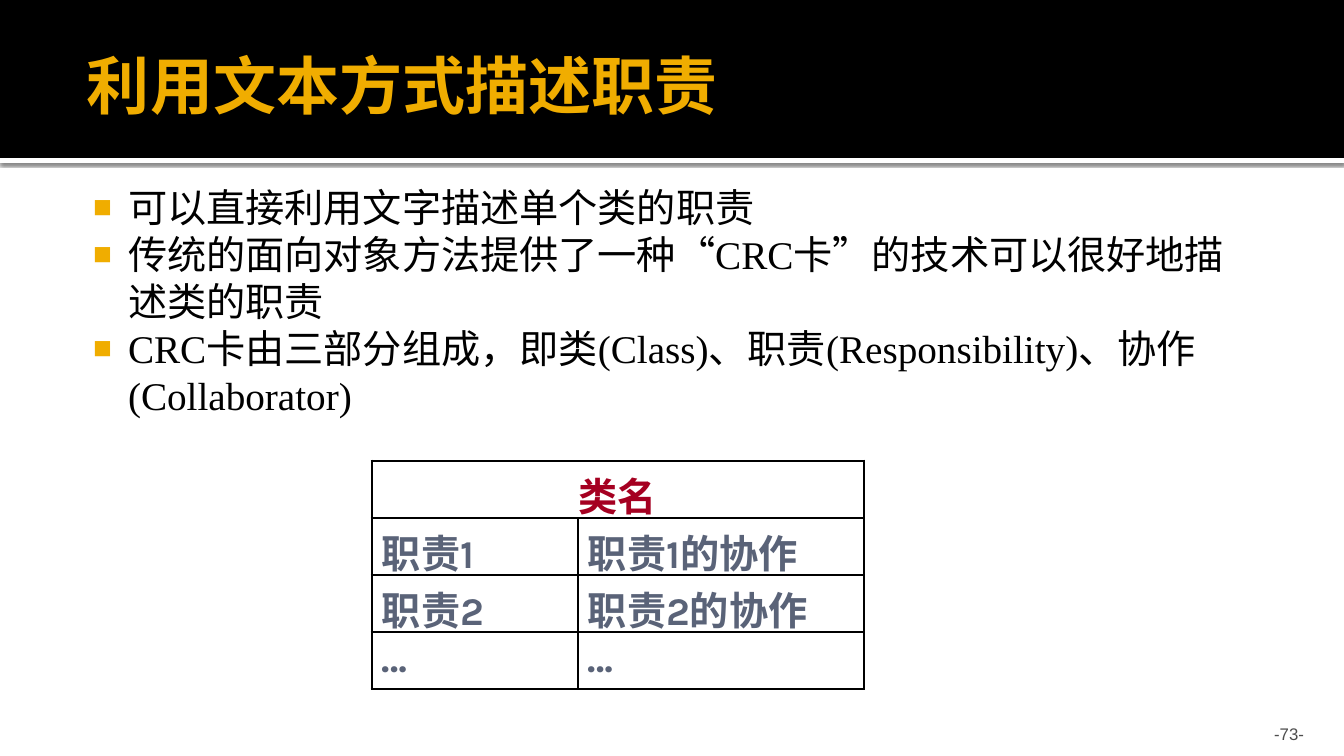
from lxml import etree
from pptx import Presentation, util as u
from pptx.dml.color import RGBColor
from pptx.enum import lang, shapes, text
from pptx.oxml import parse_xml
from pptx.oxml.ns import nsdecls, qn

PX = 914400 / 100.8
COLORS = {"black": "000000", "white": "FFFFFF", "gold": "F0AD00",
          "red": "A50021", "slate": "5A6378", "gray": "4D4D4D"}


def px(*lengths):
    """Turn px lengths into EMU."""
    return [u.Emu(round(length * PX)) for length in lengths]


def add_run(paragraph, words, font_name, size, color, bold=False):
    run = paragraph.add_run()
    run.text = words
    font = run.font
    font.name, font.size, font.bold = font_name, u.Pt(size), bold
    font.color.rgb = RGBColor.from_string(COLORS[color])
    font.language_id = lang.MSO_LANGUAGE_ID.SIMPLIFIED_CHINESE


presentation = Presentation()
presentation.slide_width, presentation.slide_height = px(1344, 756)
slide = presentation.slides.add_slide(presentation.slide_layouts[6])

# Header band with a shadowed white strip below it
bands = []
for top, height, color in [(158, 5, "white"), (0, 158, "black")]:
    band = slide.shapes.add_shape(shapes.MSO_SHAPE.RECTANGLE, *px(0, top, 1344, height))
    band.shadow.inherit = False
    band.fill.solid()
    band.fill.fore_color.rgb = RGBColor.from_string(COLORS[color])
    band.line.fill.background()
    bands.append(band)
effects = bands[0]._element.spPr.find(qn("a:effectLst"))
effects.append(parse_xml(
    f'<a:outerShdw {nsdecls("a")} blurRad="31750" dist="10160" dir="5400000" rotWithShape="0">'
    f'<a:srgbClr val="{COLORS["black"]}"><a:alpha val="60000"/></a:srgbClr></a:outerShdw>'))

# Text boxes: place, insets (left, top, right, bottom), anchor
frames = []
for place, insets, anchor in [
    ((77, 28, 1166, 113), (10, 5, 5, 5), text.MSO_ANCHOR.MIDDLE),
    ((74, 173, 1164, 289), (6, 10, 10, 5), text.MSO_ANCHOR.TOP),
    ((1206, 714, 108, 30), (10, 5, 10, 0), text.MSO_ANCHOR.BOTTOM),
]:
    frame = slide.shapes.add_textbox(*px(*place)).text_frame
    frame.word_wrap = True
    frame.vertical_anchor = anchor
    (frame.margin_left, frame.margin_top,
     frame.margin_right, frame.margin_bottom) = px(*insets)
    frames.append(frame)
title, body, page_number = frames

add_run(title.paragraphs[0], "利用文本方式描述职责", "Times New Roman", 45, "gold", True)
page_number.paragraphs[0].alignment = text.PP_ALIGN.RIGHT
add_run(page_number.paragraphs[0], "-73-", "Arial", 12, "gray")

points = [
    "可以直接利用文字描述单个类的职责",
    "传统的面向对象方法提供了一种“CRC卡”的技术可以很好地描述类的职责",
    "CRC卡由三部分组成，即类(Class)、职责(Responsibility)、协作(Collaborator)",
]
indent, hanging = px(48, -35)
for index, point in enumerate(points):
    paragraph = body.paragraphs[0] if index == 0 else body.add_paragraph()
    paragraph.line_spacing = u.Pt(33.6)
    properties = paragraph._p.get_or_add_pPr()
    properties.set("marL", str(indent))
    properties.set("indent", str(hanging))
    bullet_color = etree.SubElement(properties, qn("a:buClr"))
    etree.SubElement(bullet_color, qn("a:srgbClr"), val=COLORS["gold"])
    etree.SubElement(properties, qn("a:buSzPct"), val="80000")
    etree.SubElement(properties, qn("a:buFont"), typeface="Arial")
    etree.SubElement(properties, qn("a:buChar"), char="■")
    add_run(paragraph, point, "Times New Roman", 28, "black")

# CRC card: thick outer frame, thin inner lines
card_rows = [["类名", ""], ["职责1", "职责1的协作"], ["职责2", "职责2的协作"], ["…", "…"]]
last_row = len(card_rows) - 1
card = slide.shapes.add_table(len(card_rows), 2, *px(372, 461, 492, 228)).table
card.first_row = card.horz_banding = False
for column, width in zip(card.columns, px(206, 286)):
    column.width = width
for row in card.rows:
    row.height = px(57)[0]
card.cell(0, 0).merge(card.cell(0, 1))

for r, row in enumerate(card_rows):
    for c, words in enumerate(row):
        cell = card.cell(r, c)
        cell.margin_left, cell.margin_top, cell.margin_right, cell.margin_bottom = px(10, 5, 10, 5)
        outer_sides = {"lnL": c == 0, "lnR": c == 1 or r == 0,
                       "lnT": r == 0, "lnB": r == last_row}
        cell_properties = cell._tc.get_or_add_tcPr()
        for side, outer in outer_sides.items():
            border = etree.SubElement(cell_properties, qn(f"a:{side}"),
                                      w=str(u.Pt(2.25 if outer else 1)))
            line_fill = etree.SubElement(border, qn("a:solidFill"))
            etree.SubElement(line_fill, qn("a:srgbClr"), val=COLORS["black"])
        cell.fill.background()
        if words:
            paragraph = cell.text_frame.paragraphs[0]
            if r == 0:
                paragraph.alignment = text.PP_ALIGN.CENTER
            add_run(paragraph, words, "Karla", 28, "red" if r == 0 else "slate", True)

presentation.save("out.pptx")
